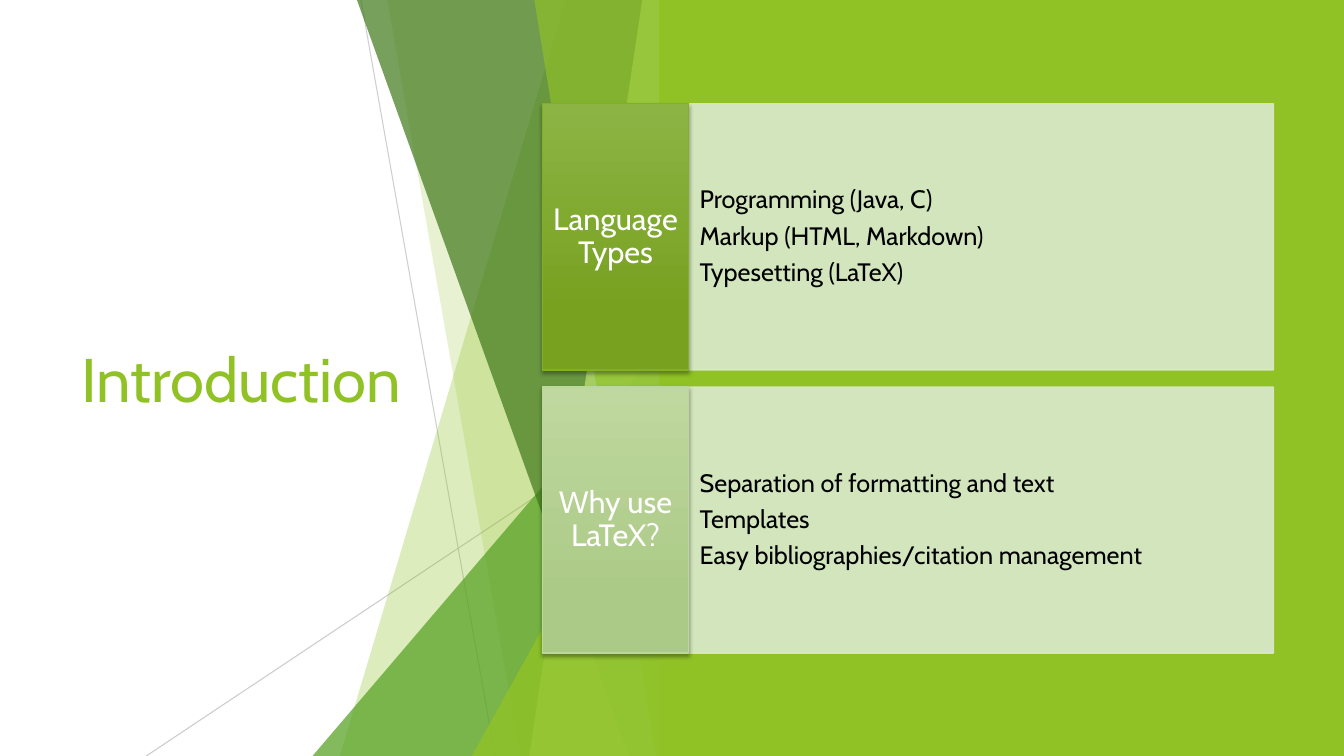
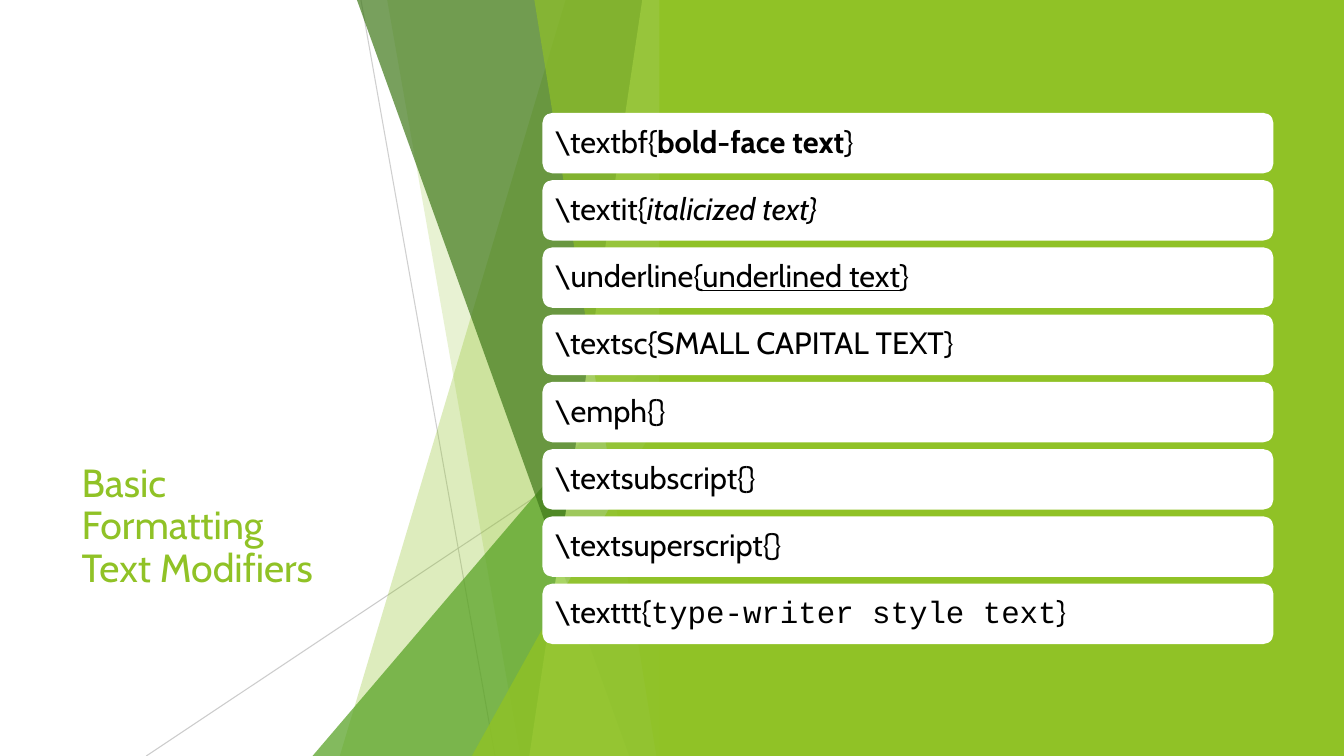
from dataclasses import dataclass

from lxml.etree import SubElement
from pptx import Presentation
from pptx.dml.color import RGBColor
from pptx.enum.shapes import MSO_CONNECTOR, MSO_SHAPE
from pptx.enum.text import MSO_ANCHOR, MSO_AUTO_SIZE, PP_ALIGN
from pptx.oxml.ns import qn
from pptx.presentation import Presentation as Deck
from pptx.shapes.autoshape import Shape
from pptx.shapes.base import BaseShape
from pptx.slide import Slide
from pptx.text.text import _Paragraph as Paragraph
from pptx.util import Inches, Pt

COLORS = {
    "white": "FFFFFF",
    "black": "000000",
    "lime": "90C226",
    "leaf": "54A021",
    "forest": "3F7819",
    "pale lime": "C0E474",
    "hairline": "BFBFBF",
    "panel": "DBE9CD",
    "strong top": "8BB445",
    "strong bottom": "78A120",
    "strong edge": "83B022",
    "soft top": "BFD89F",
    "soft bottom": "ACCA87",
    "soft edge": "BBD79A",
}
FONT = "Cabin"
SLIDE_WIDTH, SLIDE_HEIGHT = 13.33, 7.5
FACET_RIGHT = 6.66
CONTENT_LEFT, CONTENT_RIGHT = 5.38, 12.63


@dataclass(frozen=True)
class Hairline:
    start: tuple[float, float]
    end: tuple[float, float]
    opacity: int


@dataclass(frozen=True)
class Blade:
    """A band from a slanted left edge to the shared right edge."""
    top_x: float
    bottom_x: float
    color: str
    opacity: int


@dataclass(frozen=True)
class Wedge:
    """A right triangle standing on the bottom of the slide."""
    left: float
    top: float
    color: str
    opacity: int


@dataclass(frozen=True)
class Topic:
    label: str
    tone: str
    points: tuple[str, ...]


@dataclass(frozen=True)
class Span:
    text: str
    bold: bool | None = None
    italic: bool | None = None
    underline: bool | None = None
    font: str | None = None


BACKDROP = (
    Hairline((3.58, 0), (4.91, 7.5), 75),
    Hairline((6.66, 4.03), (1.45, 7.5), 80),
    Blade(5.61, 3.37, "lime", 30),
    Blade(3.84, 5.16, "lime", 20),
    Wedge(3.1, 3.33, "leaf", 72),
    Blade(3.54, 6.24, "forest", 70),
    Blade(6.37, 5.25, "pale lime", 70),
    Blade(5.3, 6.51, "lime", 65),
    Wedge(4.68, 3.93, "lime", 80),
)

TOPICS = (
    Topic("Language Types", "strong", (
        "Programming (Java, C)",
        "Markup (HTML, Markdown)",
        "Typesetting (LaTeX)",
    )),
    Topic("Why use LaTeX?", "soft", (
        "Separation of formatting and text",
        "Templates",
        "Easy bibliographies/citation management",
    )),
)

MODIFIERS = (
    (Span("\\textbf{"), Span("bold-face text", bold=True), Span("}")),
    (Span("\\textit{"), Span("italicized text}", italic=True)),
    (Span("\\underline{"), Span("underlined text", underline=True), Span("}")),
    (Span("\\textsc{SMALL CAPITAL TEXT}"),),
    (Span("\\emph{}"),),
    (Span("\\textsubscript{}"),),
    (Span("\\textsuperscript{}"),),
    (Span("\\texttt{"), Span("type-writer style text", font="Courier New"), Span("}")),
)


def rgb(name: str) -> RGBColor:
    return RGBColor.from_string(COLORS[name])


def set_opacity(shape: BaseShape, percent: int) -> None:
    """Apply one opacity to every fill and line colour of the shape."""
    for color in shape.element.spPr.iter(qn("a:srgbClr")):
        SubElement(color, qn("a:alpha"), val=str(percent * 1000))


def finish(shape: Shape, color: str) -> None:
    shape.shadow.inherit = False
    shape.fill.solid()
    shape.fill.fore_color.rgb = rgb(color)
    shape.line.fill.background()


def add_block(page: Slide, kind: MSO_SHAPE, left: float, top: float,
              width: float, height: float, color: str) -> Shape:
    block = page.shapes.add_shape(
        kind, Inches(left), Inches(top), Inches(width), Inches(height))
    finish(block, color)
    return block


def set_margins(shape: Shape, side: float, end: float) -> None:
    frame = shape.text_frame
    frame.word_wrap = True
    frame.vertical_anchor = MSO_ANCHOR.MIDDLE
    frame.margin_left = frame.margin_right = Inches(side)
    frame.margin_top = frame.margin_bottom = Inches(end)


def style(para: Paragraph, size: int, color: str,
          align: PP_ALIGN = PP_ALIGN.LEFT) -> None:
    para.alignment = align
    para.font.name = FONT
    para.font.size = Pt(size)
    para.font.color.rgb = rgb(color)


def style_body(para: Paragraph, size: int, color: str,
               align: PP_ALIGN = PP_ALIGN.LEFT) -> None:
    style(para, size, color, align)
    para.line_spacing = 0.9
    para.space_after = Pt(size * 0.35)


# Shared backdrop and title
def add_hairline(page: Slide, line: Hairline) -> None:
    connector = page.shapes.add_connector(
        MSO_CONNECTOR.STRAIGHT, *map(Inches, line.start + line.end))
    connector.line.color.rgb = rgb("hairline")
    connector.line.width = Pt(0.75)
    set_opacity(connector, line.opacity)
    SubElement(connector.element.spPr, qn("a:effectLst"))


def add_blade(page: Slide, blade: Blade) -> None:
    bottom = Inches(SLIDE_HEIGHT)
    right = Inches(FACET_RIGHT)
    builder = page.shapes.build_freeform(Inches(blade.top_x), 0)
    builder.add_line_segments(
        [(right, 0), (right, bottom), (Inches(blade.bottom_x), bottom)])
    shape = builder.convert_to_shape()
    finish(shape, blade.color)
    set_opacity(shape, blade.opacity)


def add_wedge(page: Slide, wedge: Wedge) -> None:
    shape = add_block(
        page, MSO_SHAPE.ISOSCELES_TRIANGLE, wedge.left, wedge.top,
        FACET_RIGHT - wedge.left, SLIDE_HEIGHT - wedge.top, wedge.color)
    shape.adjustments[0] = 1
    set_opacity(shape, wedge.opacity)


def add_page(deck: Deck, title: str, size: int, spacing: float = 1,
             anchor: MSO_ANCHOR = MSO_ANCHOR.MIDDLE) -> Slide:
    page = deck.slides.add_slide(deck.slide_layouts[5])
    draw = {Hairline: add_hairline, Blade: add_blade, Wedge: add_wedge}
    for part in BACKDROP:
        draw[type(part)](page, part)
    add_block(page, MSO_SHAPE.RECTANGLE, 6.54, 0, SLIDE_WIDTH - 6.54,
              SLIDE_HEIGHT, "lime")

    heading = page.shapes.title
    heading.left, heading.top = Inches(0.71), Inches(1.51)
    heading.width, heading.height = Inches(3.88), Inches(4.48)
    heading.text_frame.text = title
    set_margins(heading, 0.1, 0.13)
    heading.text_frame.auto_size = MSO_AUTO_SIZE.NONE
    heading.text_frame.vertical_anchor = anchor
    para = heading.text_frame.paragraphs[0]
    style(para, size, "lime")
    para.line_spacing = spacing
    # Bring the title in front of the backdrop
    heading.element.getparent().append(heading.element)
    return page


# Topic panels
def add_topic(page: Slide, topic: Topic, top: float, height: float) -> None:
    label_width = 1.45
    panel_left = CONTENT_LEFT + label_width
    panel = add_block(page, MSO_SHAPE.RECTANGLE, panel_left, top,
                      CONTENT_RIGHT - panel_left, height, "panel")
    panel.line.color.rgb = rgb("panel")
    panel.line.width = Pt(1)
    set_opacity(panel, 90)
    set_margins(panel, 0.11, 0.67)
    panel.text_frame.text = "\n".join(topic.points)
    for para in panel.text_frame.paragraphs:
        style_body(para, 18, "black")

    label = add_block(page, MSO_SHAPE.RECTANGLE, CONTENT_LEFT, top,
                      label_width, height, f"{topic.tone} top")
    label.fill.gradient()
    label.fill.gradient_angle = 270
    for stop, end, position in zip(
            label.fill.gradient_stops, ("top", "bottom"), (0, 0.78)):
        stop.color.rgb = rgb(f"{topic.tone} {end}")
        stop.position = position
    label.line.color.rgb = rgb(f"{topic.tone} edge")
    label.line.width = Pt(1)
    shadow = SubElement(
        label.element.spPr.find(qn("a:effectLst")), qn("a:outerShdw"),
        blurRad=str(Pt(3)), dist=str(Pt(2)), dir="5400000", rotWithShape="0")
    tint = SubElement(shadow, qn("a:srgbClr"), val=COLORS["black"])
    SubElement(tint, qn("a:alpha"), val="35000")
    set_margins(label, 0.08, 0.26)
    label.text_frame.text = topic.label
    style_body(label.text_frame.paragraphs[0], 22, "white", PP_ALIGN.CENTER)


def build_introduction(deck: Deck) -> None:
    page = add_page(deck, "Introduction", 44)
    top, height, gap = 1.03, 2.64, 0.17
    for index, topic in enumerate(TOPICS):
        add_topic(page, topic, top + index * (height + gap), height)


# Command rows
def build_modifiers(deck: Deck) -> None:
    page = add_page(deck, "Basic\vFormatting\vText Modifiers", 28, 0.9,
                    MSO_ANCHOR.BOTTOM)
    top, bottom, height = 1.12, 6.39, 0.6
    pitch = (bottom - top - height) / (len(MODIFIERS) - 1)
    for index, spans in enumerate(MODIFIERS):
        row = add_block(page, MSO_SHAPE.ROUNDED_RECTANGLE, CONTENT_LEFT,
                        top + index * pitch, CONTENT_RIGHT - CONTENT_LEFT,
                        height, "white")
        set_margins(row, 0.09, 0.09)
        para = row.text_frame.paragraphs[0]
        style_body(para, 22, "black")
        for span in spans:
            run = para.add_run()
            run.text = span.text
            run.font.bold = span.bold
            run.font.italic = span.italic
            run.font.underline = span.underline
            run.font.name = span.font


def main() -> None:
    deck = Presentation()
    deck.slide_width = Inches(SLIDE_WIDTH)
    deck.slide_height = Inches(SLIDE_HEIGHT)
    build_introduction(deck)
    build_modifiers(deck)
    deck.save("out.pptx")


if __name__ == "__main__":
    main()
